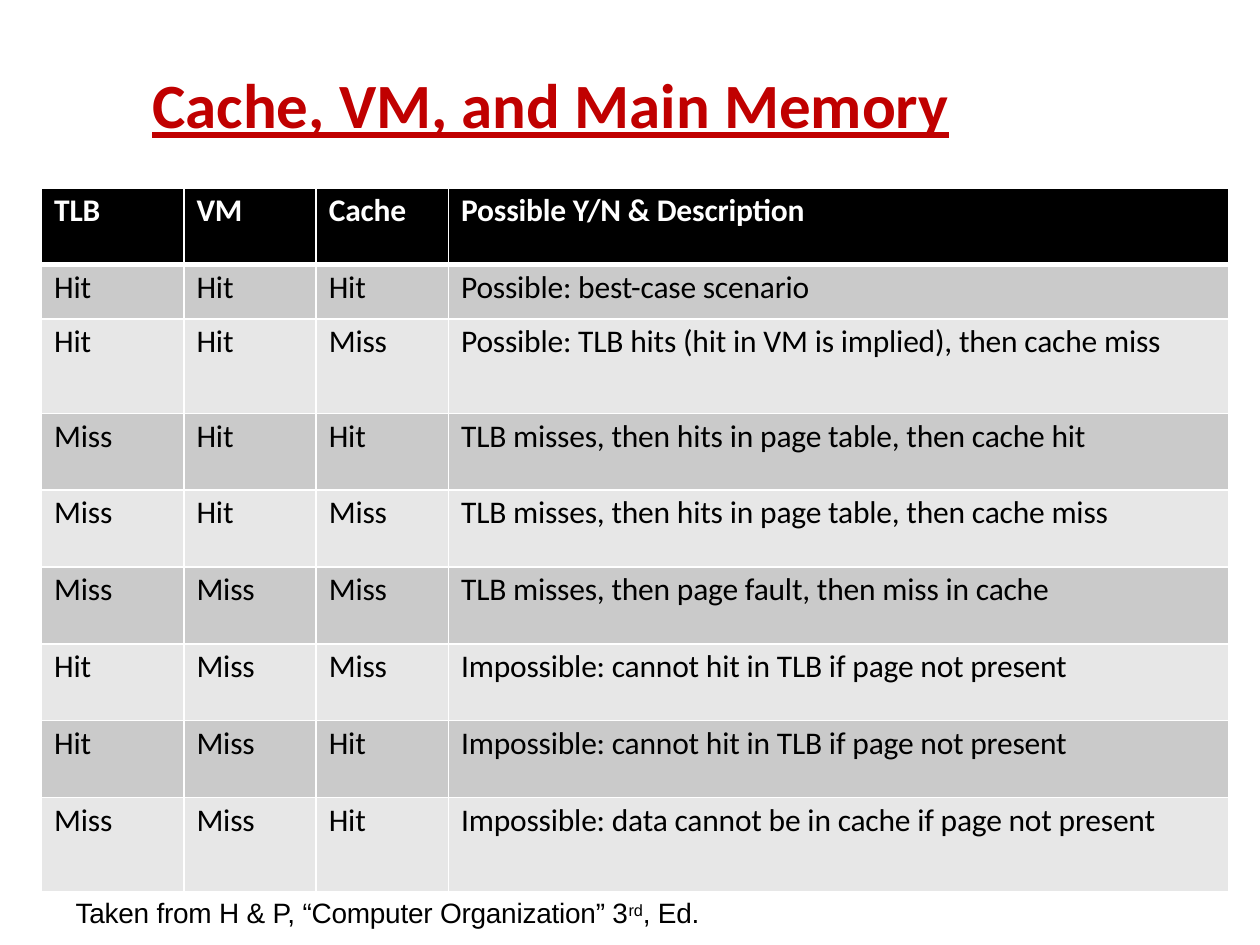
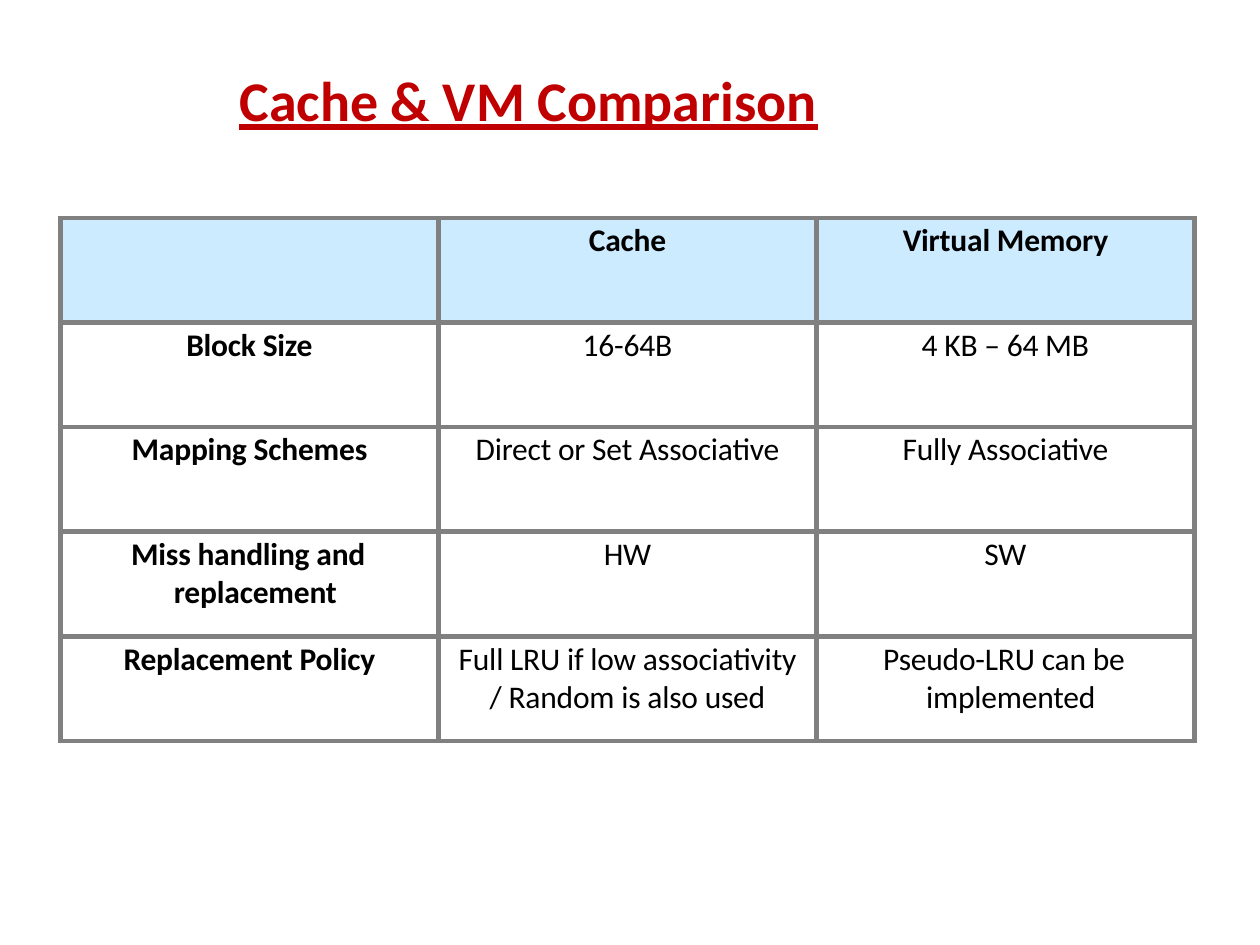
import lxml.etree
import pptx
import pptx.dml.color
import pptx.enum.text
import pptx.oxml.ns
import pptx.util

Inches = pptx.util.Inches
Pt = pptx.util.Pt
ALIGN = pptx.enum.text.PP_ALIGN
TITLE_ONLY_LAYOUT = 5

RED, BLACK, WHITE = "C00000", "000000", "FFFFFF"
DARK_BAND, LIGHT_BAND = "CACACA", "E7E7E7"
HEADER_BLUE, GRID_GRAY = "CCEBFF", "808080"
TIGHT = -0.1  # letter spacing in points

ACCESS_TITLE = ("Cache, VM, and Main Memory", 36, (1.21, 0.51, 7.6, 0.62))
ACCESS_ROWS = [
    ("TLB", "VM", "Cache", "Possible Y/N & Description"),
    ("Hit", "Hit", "Hit", "Possible: best-case scenario"),
    ("Hit", "Hit", "Miss", "Possible: TLB hits (hit in VM is implied), then cache miss"),
    ("Miss", "Hit", "Hit", "TLB misses, then hits in page table, then cache hit"),
    ("Miss", "Hit", "Miss", "TLB misses, then hits in page table, then cache miss"),
    ("Miss", "Miss", "Miss", "TLB misses, then page fault, then miss in cache"),
    ("Hit", "Miss", "Miss", "Impossible: cannot hit in TLB if page not present"),
    ("Hit", "Miss", "Hit", "Impossible: cannot hit in TLB if page not present"),
    ("Miss", "Miss", "Hit", "Impossible: data cannot be in cache if page not present"),
]
ACCESS_WIDTHS = [1.13, 1.05, 1.05, 6.19]
ACCESS_HEIGHTS = [0.61, 0.43, 0.75] + [0.61] * 5 + [0.75]
SOURCE_NOTE = [("Taken from H & P, “Computer Organization” 3", False),
               ("rd", True), (", Ed.", False)]

COMPARISON_TITLE = ("Cache & VM Comparison", 32, (1.9, 0.51, 6.22, 0.55))
COMPARISON_ROWS = [
    ("", "Cache", "Virtual Memory"),
    ("Block Size", "16-64B", "4 KB – 64 MB"),
    ("Mapping Schemes", "Direct or Set Associative", "Fully Associative"),
    ("Miss handling and replacement", "HW", "SW"),
    ("Replacement Policy", "Full LRU if low associativity\n/ Random is also used",
     "Pseudo-LRU can be implemented"),
]
# (row, column): left indent and first-line offset
HANGING_INDENTS = {(3, 0): (0.9, -0.34), (4, 2): (0.87, -0.34)}


def color(hex_value):
    return pptx.dml.color.RGBColor.from_string(hex_value)


def style_paragraph(paragraph, font_name, size, hex_value, bold=False,
                    alignment=ALIGN.LEFT, space_before=2.5):
    paragraph.alignment = alignment
    paragraph.space_before = Pt(space_before)
    font = paragraph.font
    font.name, font.size, font.bold = font_name, Pt(size), bold
    font.color.rgb = color(hex_value)


def tighten(run):
    properties = run._r.get_or_add_rPr()
    properties.set("spc", str(round(TIGHT * 100)))
    return properties


def set_margins(frame, left=0.0, top=0.01):
    frame.margin_left, frame.margin_top = Inches(left), Inches(top)
    frame.margin_right = frame.margin_bottom = 0


def add_titled_slide(presentation, text, size, box):
    slide = presentation.slides.add_slide(presentation.slide_layouts[TITLE_ONLY_LAYOUT])
    title = slide.shapes.title
    title.left, title.top, title.width, title.height = map(Inches, box)
    frame = title.text_frame
    frame.text = text
    frame.word_wrap = True
    frame.auto_size = pptx.enum.text.MSO_AUTO_SIZE.NONE
    frame.vertical_anchor = pptx.enum.text.MSO_ANCHOR.TOP
    set_margins(frame)
    paragraph = frame.paragraphs[0]
    style_paragraph(paragraph, "Calibri", size, RED, bold=True, space_before=1.1)
    paragraph.font.underline = True
    return slide


def set_borders(cell, hex_value, widths):
    """Draw the borders; widths are points for left, right, top and bottom."""
    properties = cell._tc.get_or_add_tcPr()
    qn = pptx.oxml.ns.qn
    for side, width in zip("LRTB", widths):
        line = lxml.etree.SubElement(properties, qn(f"a:ln{side}"), w=str(Pt(width)))
        fill = lxml.etree.SubElement(line, qn("a:solidFill"))
        lxml.etree.SubElement(fill, qn("a:srgbClr"), val=hex_value)


def add_plain_table(slide, rows, left, top, widths, heights):
    table = slide.shapes.add_table(
        len(rows), len(widths), Inches(left), Inches(top),
        Inches(sum(widths)), Inches(sum(heights))).table
    table.first_row = table.horz_banding = False
    for column, width in zip(table.columns, widths):
        column.width = Inches(width)
    for row, height in zip(table.rows, heights):
        row.height = Inches(height)
    return table


def fill_cell(cell, text, fill, margin_left=0.0, **text_style):
    set_margins(cell, margin_left, 0.03)
    if fill:
        cell.fill.solid()
        cell.fill.fore_color.rgb = color(fill)
    else:
        cell.fill.background()
    cell.text_frame.text = text
    for index, paragraph in enumerate(cell.text_frame.paragraphs):
        style_paragraph(paragraph, "Calibri", 18, space_before=0 if index else 2.5,
                        **text_style)
        for run in paragraph.runs:
            tighten(run)


def add_access_table(slide):
    table = add_plain_table(slide, ACCESS_ROWS, 0.33, 1.49, ACCESS_WIDTHS, ACCESS_HEIGHTS)
    for row, texts in enumerate(ACCESS_ROWS):
        header = row == 0
        fill = BLACK if header else DARK_BAND if row % 2 else LIGHT_BAND
        for column, text in enumerate(texts):
            cell = table.cell(row, column)
            set_borders(cell, WHITE, (1, 1, 3 if row == 1 else 1, 3 if header else 1))
            fill_cell(cell, text, fill, margin_left=0.1, bold=header,
                      hex_value=WHITE if header else BLACK)


def add_source_note(slide):
    box = slide.shapes.add_textbox(Inches(0.56), Inches(7.1), Inches(5.14), Inches(0.29))
    frame = box.text_frame
    frame.word_wrap = True
    set_margins(frame, left=0.04)
    paragraph = frame.paragraphs[0]
    style_paragraph(paragraph, "Arial", 16, BLACK, space_before=0.9)
    for text, raised in SOURCE_NOTE:
        run = paragraph.add_run()
        run.text = text
        properties = tighten(run)
        if raised:
            properties.set("baseline", "26000")


def add_comparison_table(slide):
    table = add_plain_table(slide, COMPARISON_ROWS, 0.48, 1.73, [3] * 3,
                            [0.83] * len(COMPARISON_ROWS))
    for row, texts in enumerate(COMPARISON_ROWS):
        for column, text in enumerate(texts):
            cell = table.cell(row, column)
            hanging = HANGING_INDENTS.get((row, column))
            set_borders(cell, GRID_GRAY, (3, 3, 3, 3))
            fill_cell(cell, text, None if row else HEADER_BLUE, hex_value=BLACK,
                      bold=row == 0 or column == 0,
                      alignment=ALIGN.LEFT if hanging else ALIGN.CENTER)
            if hanging:
                properties = cell.text_frame.paragraphs[0]._p.get_or_add_pPr()
                for name, length in zip(("marL", "indent"), hanging):
                    properties.set(name, str(Inches(length)))


def main():
    presentation = pptx.Presentation()
    presentation.slide_width, presentation.slide_height = Inches(10), Inches(7.5)
    access_slide = add_titled_slide(presentation, *ACCESS_TITLE)
    add_access_table(access_slide)
    add_source_note(access_slide)
    add_comparison_table(add_titled_slide(presentation, *COMPARISON_TITLE))
    presentation.save("out.pptx")


if __name__ == "__main__":
    main()
